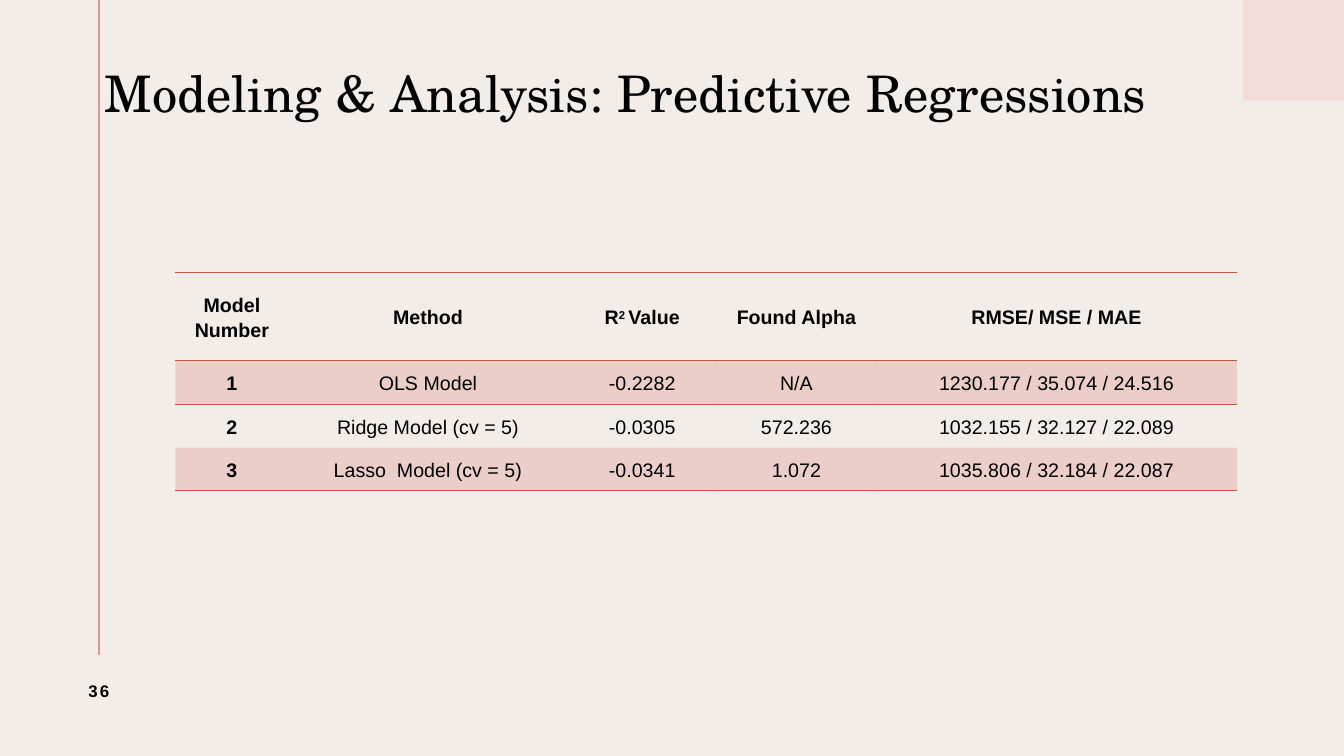
from dataclasses import dataclass

from lxml.etree import SubElement
from pptx import Presentation
from pptx.dml.color import RGBColor
from pptx.enum.shapes import MSO_CONNECTOR as Connector, MSO_SHAPE as Preset
from pptx.enum.text import MSO_ANCHOR as Anchor, PP_ALIGN as Align
from pptx.oxml import parse_xml
from pptx.oxml.ns import nsdecls, qn
from pptx.slide import Slide
from pptx.table import _Cell as Cell
from pptx.util import Inches, Pt

BACKGROUND = "F3EDEA"
CORNER = "F4DDD8"
MARGIN_LINE = "DF998B"
ACCENT = "CA553E"
BLACK = "000000"
BODY_FONT = "Arial"
TITLE_FONT = "TeX Gyre Schola"
NO_STYLE_NO_GRID = "{2D5ABB26-0587-4C30-8999-92F81FD0307C}"


@dataclass(frozen=True)
class Run:
    text: str
    size: float = 14
    bold: bool = False
    font: str = BODY_FONT
    tracking: float = 0
    baseline: int = 0


@dataclass(frozen=True)
class TextBox:
    left: float
    top: float
    width: float
    height: float
    run: Run
    align: Align
    left_inset: float = 0.1
    line_spacing: float = 1.0


@dataclass(frozen=True)
class Model:
    number: str
    method: str
    r_squared: str
    alpha: str
    errors: str

    def cells(self) -> list[list[Run]]:
        values = (self.method, self.r_squared, self.alpha, self.errors)
        return [[Run(self.number, bold=True)]] + [[Run(value)] for value in values]


TEXT_BOXES = (
    TextBox(1.04, 0.29, 12.04, 1.32,
            Run("Modeling & Analysis: Predictive Regressions", 36, font=TITLE_FONT),
            Align.LEFT, left_inset=0, line_spacing=0.9),
    TextBox(0.45, 6.5, 1.06, 0.71, Run("36", 12, True, tracking=1.5), Align.CENTER),
)
HEADER = [
    [Run("Model Number", bold=True)],
    [Run("Method", bold=True)],
    [Run("R", bold=True), Run("2 ", bold=True, baseline=30), Run("Value", bold=True)],
    [Run("Found Alpha", bold=True)],
    [Run("RMSE/ MSE / MAE", bold=True)],
]
MODELS = (
    Model("1", "OLS Model", "-0.2282", "N/A", "1230.177 / 35.074 / 24.516"),
    Model("2", "Ridge Model (cv = 5)", "-0.0305", "572.236", "1032.155 / 32.127 / 22.089"),
    Model("3", "Lasso  Model (cv = 5)", "-0.0341", "1.072", "1035.806 / 32.184 / 22.087"),
)
COLUMN_WIDTHS = (1.12, 2.77, 1.48, 1.58, 3.58)
HEADER_HEIGHT = 0.88
ROW_HEIGHT = 0.43


def color(value: str) -> RGBColor:
    return RGBColor.from_string(value)


def add_run(paragraph, content: Run) -> None:
    run = paragraph.add_run()
    run.text = content.text
    run.font.name = content.font
    run.font.size = Pt(content.size)
    run.font.bold = content.bold
    run.font.color.rgb = color(BLACK)
    properties = run.font._element
    if content.tracking:
        properties.set("spc", str(int(content.tracking * 100)))
    if content.baseline:
        properties.set("baseline", str(content.baseline * 1000))


def add_text_box(slide: Slide, box: TextBox) -> None:
    shape = slide.shapes.add_textbox(
        Inches(box.left), Inches(box.top), Inches(box.width), Inches(box.height))
    frame = shape.text_frame
    frame.word_wrap = True
    frame.vertical_anchor = Anchor.MIDDLE
    frame.margin_left = Inches(box.left_inset)
    paragraph = frame.paragraphs[0]
    paragraph.alignment = box.align
    paragraph.line_spacing = box.line_spacing
    add_run(paragraph, box.run)


def add_decoration(slide: Slide) -> None:
    corner = slide.shapes.add_shape(
        Preset.RECTANGLE, Inches(12.33), Inches(0), Inches(1), Inches(1))
    corner.shadow.inherit = False
    corner.fill.solid()
    corner.fill.fore_color.rgb = color(CORNER)
    corner.line.fill.background()
    margin = slide.shapes.add_connector(
        Connector.STRAIGHT, Inches(0.98), Inches(0), Inches(0.98), Inches(6.5))
    margin.line.color.rgb = color(MARGIN_LINE)
    margin.line.width = Pt(1.5)
    SubElement(margin._element.spPr, qn("a:effectLst"))


def set_borders(cell: Cell, sides: str) -> None:
    properties = cell._tc.get_or_add_tcPr()
    for position, side in enumerate(sides):
        border = parse_xml(
            f'<a:ln{side} {nsdecls("a")} w="{Pt(1)}"><a:solidFill>'
            f'<a:srgbClr val="{ACCENT}"/></a:solidFill></a:ln{side}>')
        properties.insert(position, border)


def fill_cell(cell: Cell, runs: list[Run], shaded: bool, sides: str) -> None:
    cell.vertical_anchor = Anchor.MIDDLE
    cell.margin_left = cell.margin_right = Inches(0.07)
    cell.margin_top = cell.margin_bottom = 0
    paragraph = cell.text_frame.paragraphs[0]
    paragraph.alignment = Align.CENTER
    paragraph.line_spacing = 1.15
    paragraph.space_after = Pt(8)
    for run in runs:
        add_run(paragraph, run)
    if shaded:
        cell.fill.solid()
        cell.fill.fore_color.rgb = color(ACCENT)
        tint = cell._tc.tcPr.find(".//" + qn("a:srgbClr"))
        SubElement(tint, qn("a:alpha")).set("val", "20000")
    else:
        cell.fill.background()
    set_borders(cell, sides)


def add_model_table(slide: Slide) -> None:
    rows = [HEADER] + [model.cells() for model in MODELS]
    height = HEADER_HEIGHT + ROW_HEIGHT * len(MODELS)
    frame = slide.shapes.add_table(
        len(rows), len(COLUMN_WIDTHS), Inches(1.74), Inches(2.7),
        Inches(sum(COLUMN_WIDTHS)), Inches(height))
    table = frame.table
    table._tbl.tblPr.find(qn("a:tableStyleId")).text = NO_STYLE_NO_GRID
    for column, width in zip(table.columns, COLUMN_WIDTHS):
        column.width = Inches(width)
    borders = {0: "TB", 1: "T", len(MODELS): "B"}
    for row_index, row in enumerate(rows):
        table.rows[row_index].height = Inches(ROW_HEIGHT if row_index else HEADER_HEIGHT)
        for column_index, runs in enumerate(row):
            fill_cell(table.cell(row_index, column_index), runs,
                      row_index % 2 == 1, borders.get(row_index, ""))


def main() -> None:
    presentation = Presentation()
    presentation.slide_width = Inches(13.33)
    presentation.slide_height = Inches(7.5)
    slide = presentation.slides.add_slide(presentation.slide_layouts[6])
    slide.background.fill.solid()
    slide.background.fill.fore_color.rgb = color(BACKGROUND)
    add_decoration(slide)
    for box in TEXT_BOXES:
        add_text_box(slide, box)
    add_model_table(slide)
    presentation.save("out.pptx")


if __name__ == "__main__":
    main()
